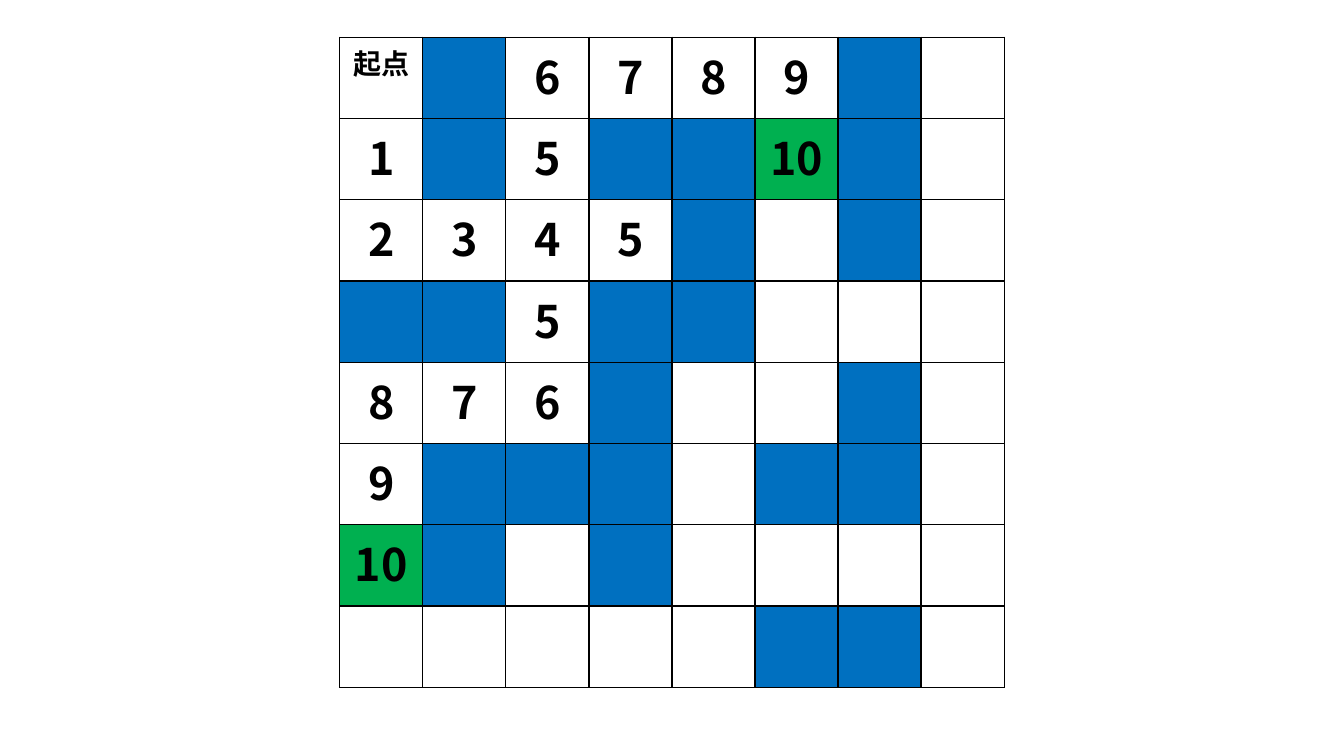
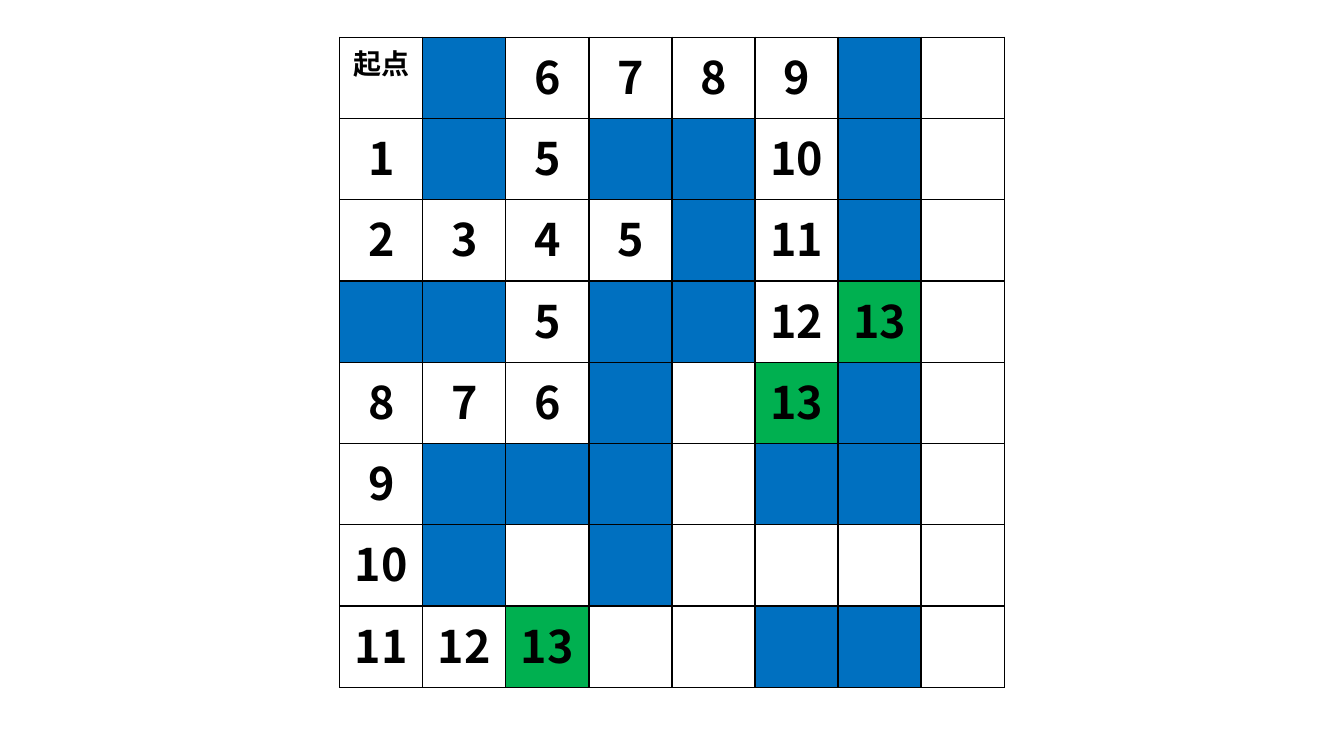
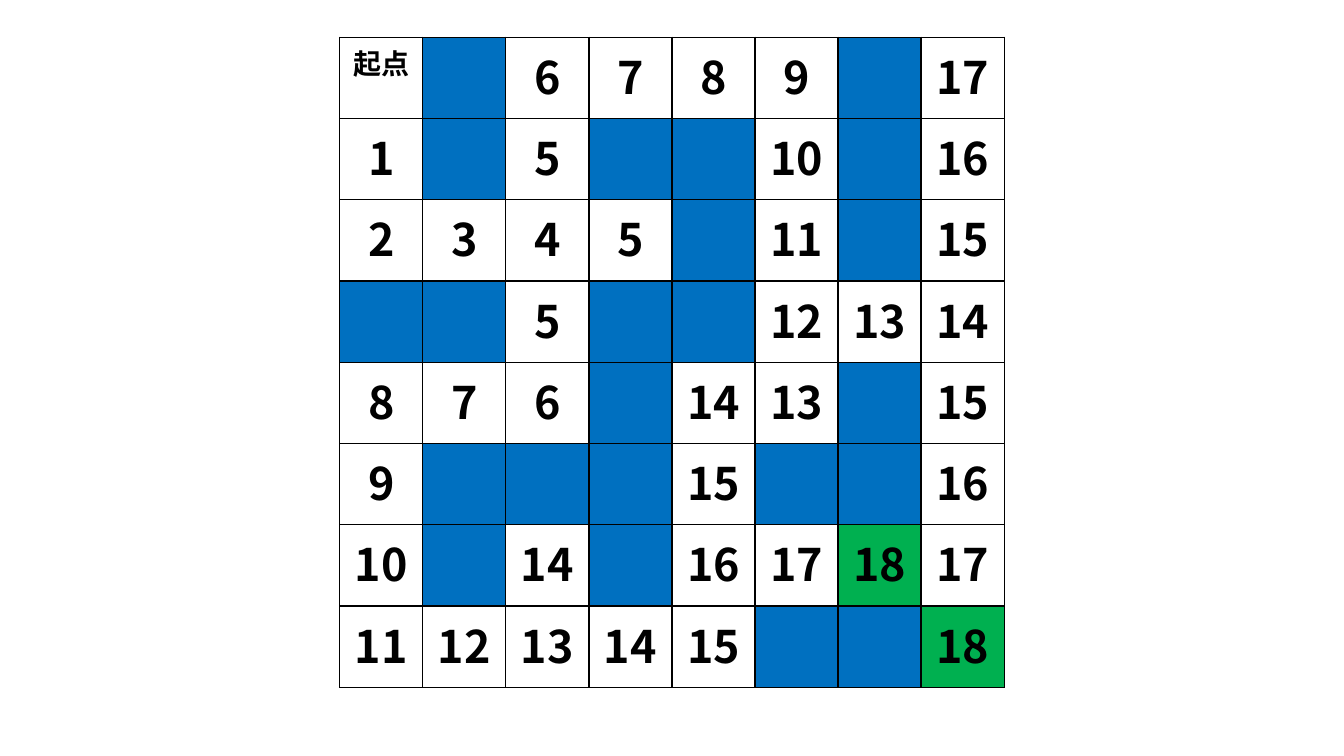
from collections import deque
from dataclasses import dataclass

from lxml import etree
from pptx import Presentation
from pptx import util as u
from pptx.dml.color import RGBColor
from pptx.enum import text
from pptx.oxml.ns import qn

PX = 9144  # EMU per px, 100 px to the inch


@dataclass(frozen=True)
class Theme:
    font: str = "Noto Sans CJK SC"
    ink: str = "000000"
    floor: str = "FFFFFF"
    wall: str = "0070C0"
    frontier: str = "00B050"
    label_size: int = 20
    number_size: int = 32
    border_points: int = 1


@dataclass(frozen=True)
class Box:
    left: int
    top: int
    width: int
    height: int


THEME = Theme()
SLIDE = Box(0, 0, 1333, 750)
BOARD = Box(337, 37, 659, 645)
START = (0, 0)
START_LABEL = "起点"
STEP_LIMITS = (10, 13, 18)  # one slide for each stage of the search
MAZE = (  # "#" is a wall
    ".#....#.",
    ".#.##.#.",
    "....#.#.",
    "##.##...",
    "...#..#.",
    ".###.##.",
    ".#.#....",
    ".....##.",
)


def px(length: int) -> u.Emu:
    return u.Emu(length * PX)


def count_steps() -> dict[tuple[int, int], int]:
    """Breadth-first distance from the start to every open cell."""
    steps = {START: 0}
    queue = deque([START])
    while queue:
        row, column = queue.popleft()
        for down, right in ((0, 1), (1, 0), (0, -1), (-1, 0)):
            place = (row + down, column + right)
            inside = 0 <= place[0] < len(MAZE) and 0 <= place[1] < len(MAZE[0])
            if inside and place not in steps and MAZE[place[0]][place[1]] != "#":
                steps[place] = steps[row, column] + 1
                queue.append(place)
    return steps


def write_text(cell, wording: str, *, size: int, color: str = THEME.ink,
               bold: bool = True) -> None:
    paragraph = cell.text_frame.paragraphs[0]
    paragraph.alignment = text.PP_ALIGN.CENTER
    run = paragraph.add_run()
    run.text = wording
    run.font.size = u.Pt(size)
    run.font.bold = bold
    run.font.color.rgb = RGBColor.from_string(color)
    run.font.name = THEME.font
    east_asian = etree.SubElement(run.font._element, qn("a:ea"))
    east_asian.set("typeface", THEME.font)


def format_cell(cell, fill: str) -> None:
    properties = cell._tc.get_or_add_tcPr()
    for side in ("L", "R", "T", "B"):
        line = etree.SubElement(properties, qn(f"a:ln{side}"),
                                w=str(u.Pt(THEME.border_points)))
        solid = etree.SubElement(line, qn("a:solidFill"))
        etree.SubElement(solid, qn("a:srgbClr"), val=THEME.ink)
    cell.fill.solid()
    cell.fill.fore_color.rgb = RGBColor.from_string(fill)


def draw_board(slide, steps: dict[tuple[int, int], int], limit: int) -> None:
    table = slide.shapes.add_table(
        len(MAZE), len(MAZE[0]), px(BOARD.left), px(BOARD.top),
        px(BOARD.width), px(BOARD.height)).table
    table.first_row = False
    table.horz_banding = False
    for row, marks in enumerate(MAZE):
        for column, mark in enumerate(marks):
            cell = table.cell(row, column)
            distance = steps.get((row, column))
            # Walls are blue; the cells reached last are green
            if mark == "#":
                fill = THEME.wall
            else:
                fill = THEME.frontier if distance == limit else THEME.floor
            format_cell(cell, fill)
            # Only the cells reached so far carry a number
            if (row, column) == START:
                write_text(cell, START_LABEL, size=THEME.label_size)
            elif distance is not None and distance <= limit:
                write_text(cell, str(distance), size=THEME.number_size)


def main() -> None:
    presentation = Presentation()
    presentation.slide_width = px(SLIDE.width)
    presentation.slide_height = px(SLIDE.height)
    blank = presentation.slide_layouts[6]
    steps = count_steps()
    for limit in STEP_LIMITS:
        draw_board(presentation.slides.add_slide(blank), steps, limit)
    presentation.save("out.pptx")


if __name__ == "__main__":
    main()
